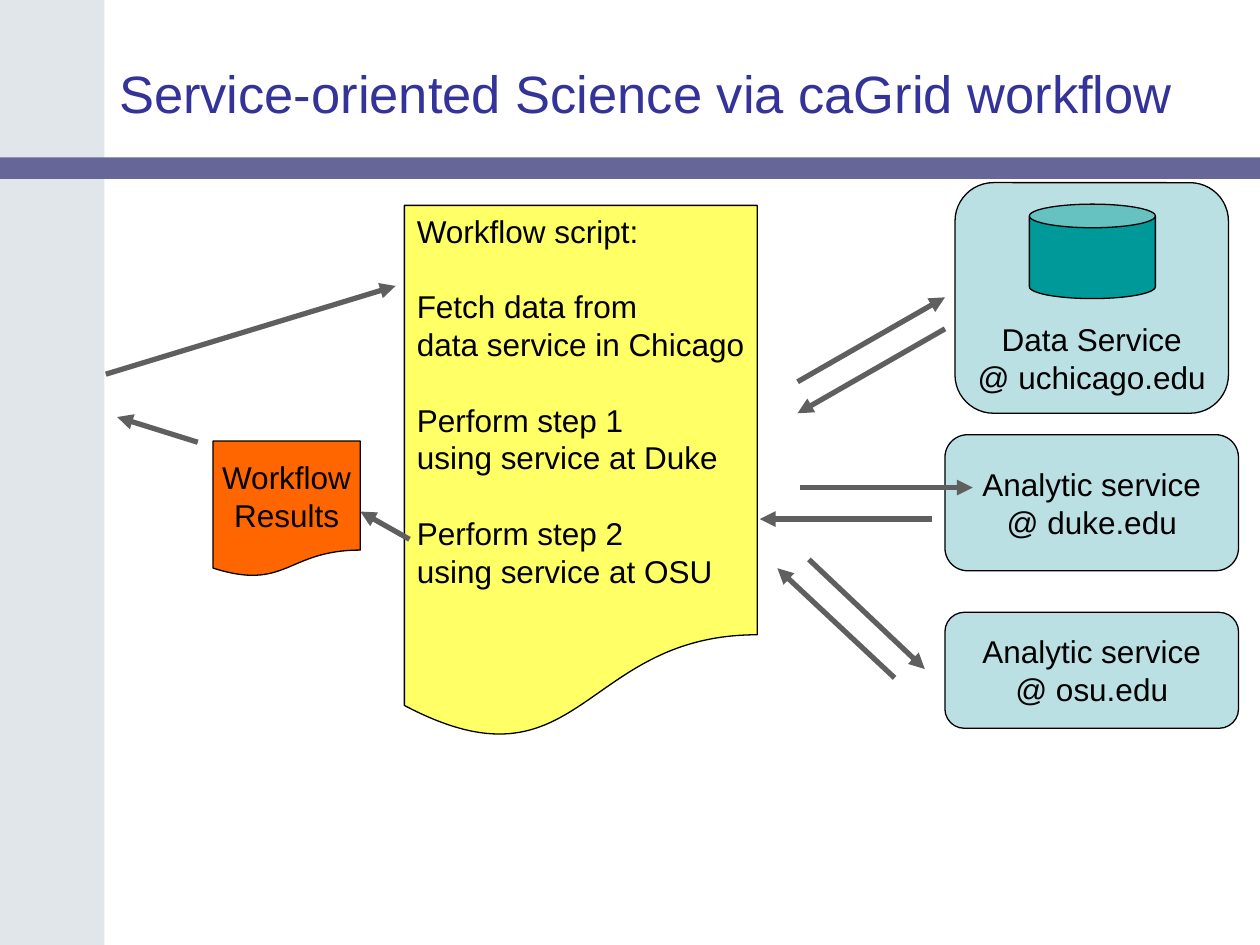
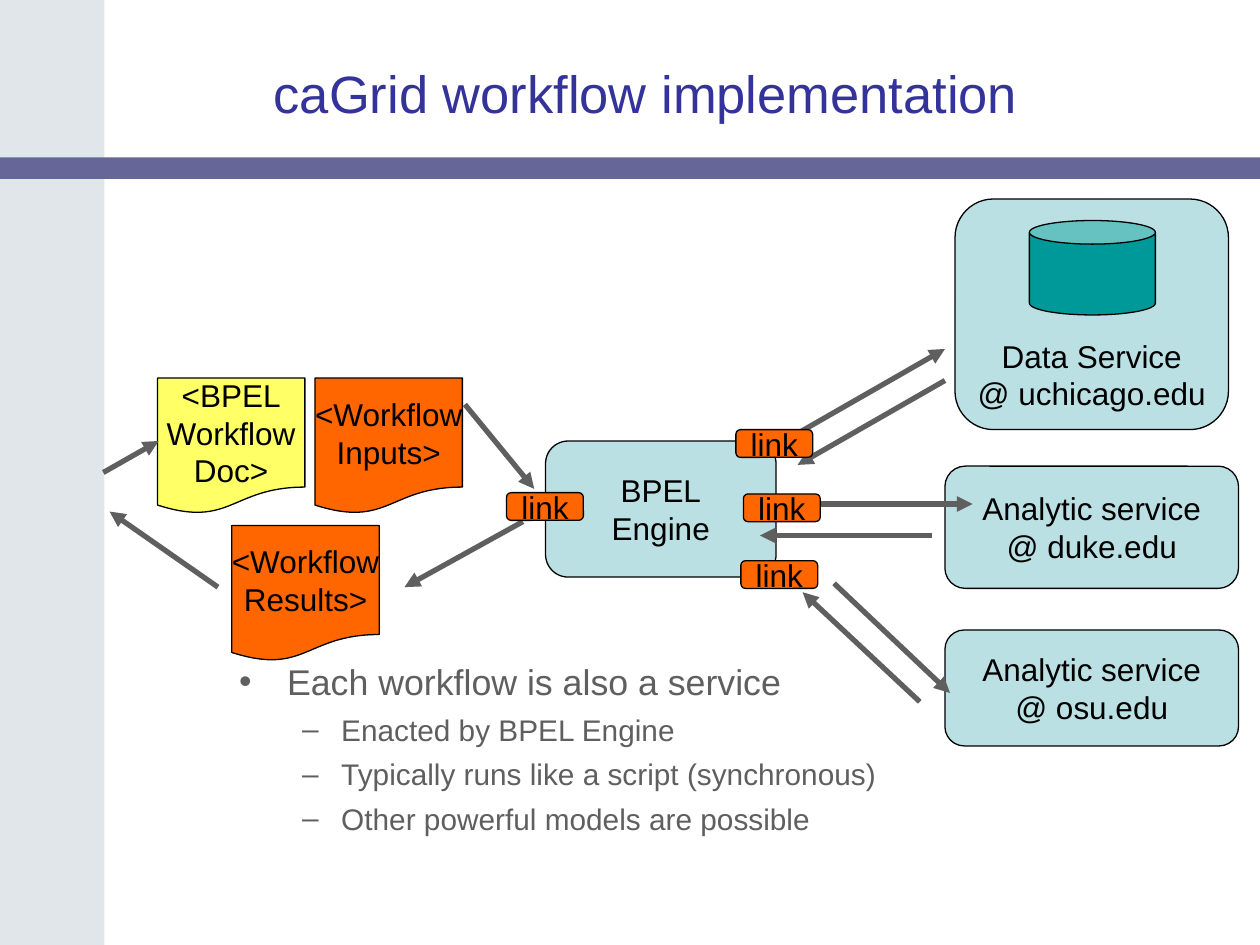
from dataclasses import dataclass

import pptx
import pptx.dml.color
import pptx.enum.shapes
import pptx.enum.text
import pptx.oxml
import pptx.oxml.ns
import pptx.util

Inches = pptx.util.Inches
Pt = pptx.util.Pt
SHAPE = pptx.enum.shapes.MSO_SHAPE
ALIGN = pptx.enum.text.PP_ALIGN
ANCHOR = pptx.enum.text.MSO_ANCHOR


@dataclass(frozen=True)
class Theme:
    font: str = "Arial"
    side: str = "E1E6EB"
    rule: str = "666699"
    title: str = "333399"
    ink: str = "000000"
    gray: str = "5F5F5F"
    service: str = "BBE0E3"
    database: str = "009999"
    script: str = "FFFF66"
    data: str = "FF6600"
    title_size: float = 30
    label_size: float = 18
    bullet_sizes: tuple = (20.4, 17)
    outline: float = 0.75
    arrow: float = 3


def rgb(value):
    return pptx.dml.color.RGBColor.from_string(value)


def write(p, text, *, font, size, color, align=ALIGN.LEFT, before=0):
    p.alignment = align
    p.space_before = Pt(before)
    r = p.add_run()
    r.text = text
    r.font.name = font
    r.font.size = Pt(size)
    r.font.color.rgb = rgb(color)


def add_xml(parent, tag, **attributes):
    child = pptx.oxml.parse_xml(f'<a:{tag} {pptx.oxml.ns.nsdecls("a")}/>')
    for name, value in attributes.items():
        child.set(name, value)
    parent.append(child)
    return child


class Deck:
    def __init__(self, theme):
        self.theme = theme
        self.prs = pptx.Presentation()
        self.prs.slide_width, self.prs.slide_height = Inches(10), Inches(7.5)
        self.slide = None

    def add_slide(self, title):
        t = self.theme
        first = self.slide is None
        self.slide = self.prs.slides.add_slide(self.prs.slide_layouts[5])
        if first:
            self.decorate_master()
        sp = self.slide.shapes.title
        sp.left, sp.top, sp.width, sp.height = map(Inches, (0.75, 0.3, 8.75, 0.87))
        tf = sp.text_frame
        tf.word_wrap = True
        tf.vertical_anchor = ANCHOR.MIDDLE
        write(tf.paragraphs[0], title, font=t.font, size=t.title_size,
              color=t.title, align=ALIGN.CENTER)

    def decorate_master(self):
        """Draw the side band and the title rule, then move them to the master."""
        t = self.theme
        bands = (
            self.box(SHAPE.RECTANGLE, 0, 0, 0.83, 7.5, t.side, outlined=False),
            self.box(SHAPE.RECTANGLE, 0, 1.25, 10, 0.17, t.rule, outlined=False),
        )
        tree = self.prs.slide_master.shapes.element
        for i, sp in enumerate(bands):
            tree.insert(2 + i, sp.element)

    def box(self, kind, x, y, w, h, fill, lines=(), *, outlined=True,
            anchor=ANCHOR.MIDDLE, align=ALIGN.CENTER, gaps=()):
        """Add a shape; gaps holds the indexes of lines with a line's space before."""
        t = self.theme
        sp = self.slide.shapes.add_shape(kind, *map(Inches, (x, y, w, h)))
        sp.shadow.inherit = False
        sp.fill.solid()
        sp.fill.fore_color.rgb = rgb(fill)
        if outlined:
            sp.line.color.rgb = rgb(t.ink)
            sp.line.width = Pt(t.outline)
        else:
            sp.line.fill.background()
        tf = sp.text_frame
        tf.word_wrap = False
        tf.vertical_anchor = anchor
        for i, text in enumerate(lines):
            p = tf.add_paragraph() if i else tf.paragraphs[0]
            write(p, text, font=t.font, size=t.label_size, color=t.ink,
                  align=align, before=1.2 * t.label_size if i in gaps else 0)
        return sp

    def document(self, x, y, fill, *lines):
        self.box(SHAPE.FLOWCHART_DOCUMENT, x, y, 1.17, 1.08, fill, lines)

    def node(self, x, y, w, h, *lines):
        self.box(SHAPE.ROUNDED_RECTANGLE, x, y, w, h, self.theme.service, lines)

    def analytic_service(self, y, h, host):
        self.node(7.5, y, 2.33, h, "Analytic service", f"@ {host}")

    def data_service(self, y):
        t = self.theme
        self.box(SHAPE.ROUNDED_RECTANGLE, 7.58, y, 2.17, 1.83, t.service,
                 ("Data Service", "@ uchicago.edu"), anchor=ANCHOR.BOTTOM)
        self.box(SHAPE.CAN, 8.17, y + 0.17, 1, 0.75, t.database)

    def link(self, x, y):
        self.box(SHAPE.ROUNDED_RECTANGLE, x, y, 0.61, 0.22, self.theme.data, ("link",))

    def arrow(self, x1, y1, x2, y2):
        t = self.theme
        c = self.slide.shapes.add_connector(
            pptx.enum.shapes.MSO_CONNECTOR.STRAIGHT, *map(Inches, (x1, y1, x2, y2)))
        c.line.color.rgb = rgb(t.gray)
        c.line.width = Pt(t.arrow)
        add_xml(c.line._get_or_add_ln(), "tailEnd", type="triangle")
        add_xml(c.element.spPr, "effectLst")

    def exchanges(self, data_dy=0, duke_dy=0, osu_dx=0, osu_dy=0):
        """Add a request and a reply arrow for each of the three services."""
        for dx, dy, request, reply in (
            (0, data_dy, (6.33, 3.03, 7.5, 2.36), (7.5, 2.61, 6.33, 3.28)),
            (0, duke_dy, (6.35, 3.87, 7.72, 3.87), (7.4, 4.12, 6.03, 4.12)),
            (osu_dx, osu_dy, (6.42, 4.44, 7.34, 5.31), (7.1, 5.38, 6.17, 4.51)),
        ):
            for x1, y1, x2, y2 in (request, reply):
                self.arrow(x1 + dx, y1 + dy, x2 + dx, y2 + dy)

    def bullets(self, x, y, w, h, items):
        t = self.theme
        styles = (("•", 0.38, 0.38, 6), ("–", 0.81, 0.31, 5))
        tf = self.slide.shapes.add_textbox(*map(Inches, (x, y, w, h))).text_frame
        tf.word_wrap = True
        for i, (level, text) in enumerate(items):
            mark, margin, hang, before = styles[level]
            p = tf.add_paragraph() if i else tf.paragraphs[0]
            p.level = level
            write(p, text, font=t.font, size=t.bullet_sizes[level],
                  color=t.gray, before=before if i else 0)
            pPr = p._p.get_or_add_pPr()
            pPr.set("marL", str(Inches(margin)))
            pPr.set("indent", str(-Inches(hang)))
            add_xml(add_xml(pPr, "buClr"), "srgbClr", val=t.gray)
            add_xml(pPr, "buFont", typeface=t.font)
            add_xml(pPr, "buChar", char=mark)


def science_slide(deck):
    t = deck.theme
    deck.add_slide("Service-oriented Science via caGrid workflow")
    deck.data_service(1.45)
    script = (
        "Workflow script:",
        "Fetch data from", "data service in Chicago",
        "Perform step 1", "using service at Duke",
        "Perform step 2", "using service at OSU",
    )
    deck.box(SHAPE.FLOWCHART_DOCUMENT, 3.21, 1.63, 2.8, 4.25, t.script, script,
             anchor=ANCHOR.TOP, align=ALIGN.LEFT, gaps=(1, 3, 5))
    deck.analytic_service(4.86, 0.92, "osu.edu")
    deck.analytic_service(3.45, 1.08, "duke.edu")
    deck.exchanges()
    deck.document(1.69, 3.5, t.data, "Workflow", "Results")
    deck.arrow(0.84, 2.97, 3.14, 2.27)
    deck.arrow(1.57, 3.51, 0.93, 3.31)
    deck.arrow(3.25, 4.28, 2.86, 4.06)


def implementation_slide(deck):
    t = deck.theme
    deck.add_slide("caGrid workflow implementation")
    deck.data_service(1.58)
    deck.document(1.25, 3, t.script, "<BPEL", "Workflow", "Doc>")
    deck.node(4.33, 3.5, 1.83, 1.08, "BPEL", "Engine")
    deck.analytic_service(5, 0.92, "osu.edu")
    deck.analytic_service(3.7, 0.97, "duke.edu")
    deck.exchanges(data_dy=0.41, duke_dy=0.13, osu_dx=0.2, osu_dy=0.19)
    deck.document(1.84, 4.17, t.data, "<Workflow", "Results>")
    deck.document(2.5, 3, t.data, "<Workflow", "Inputs>")
    deck.arrow(0.82, 3.75, 1.26, 3.5)
    deck.arrow(1.73, 4.66, 0.87, 4.06)
    deck.arrow(3.69, 3.21, 4.24, 3.88)
    deck.arrow(4.15, 4.14, 3.21, 4.66)
    deck.bullets(1.8, 5.19, 6.09, 1.5, (
        (0, "Each workflow is also a service"),
        (1, "Enacted by BPEL Engine"),
        (1, "Typically runs like a script (synchronous)"),
        (1, "Other powerful models are possible"),
    ))
    for x, y in ((5.84, 3.41), (5.9, 3.92), (5.88, 4.45), (4.02, 3.91)):
        deck.link(x, y)


def main():
    deck = Deck(Theme())
    science_slide(deck)
    implementation_slide(deck)
    deck.prs.save("out.pptx")


if __name__ == "__main__":
    main()
